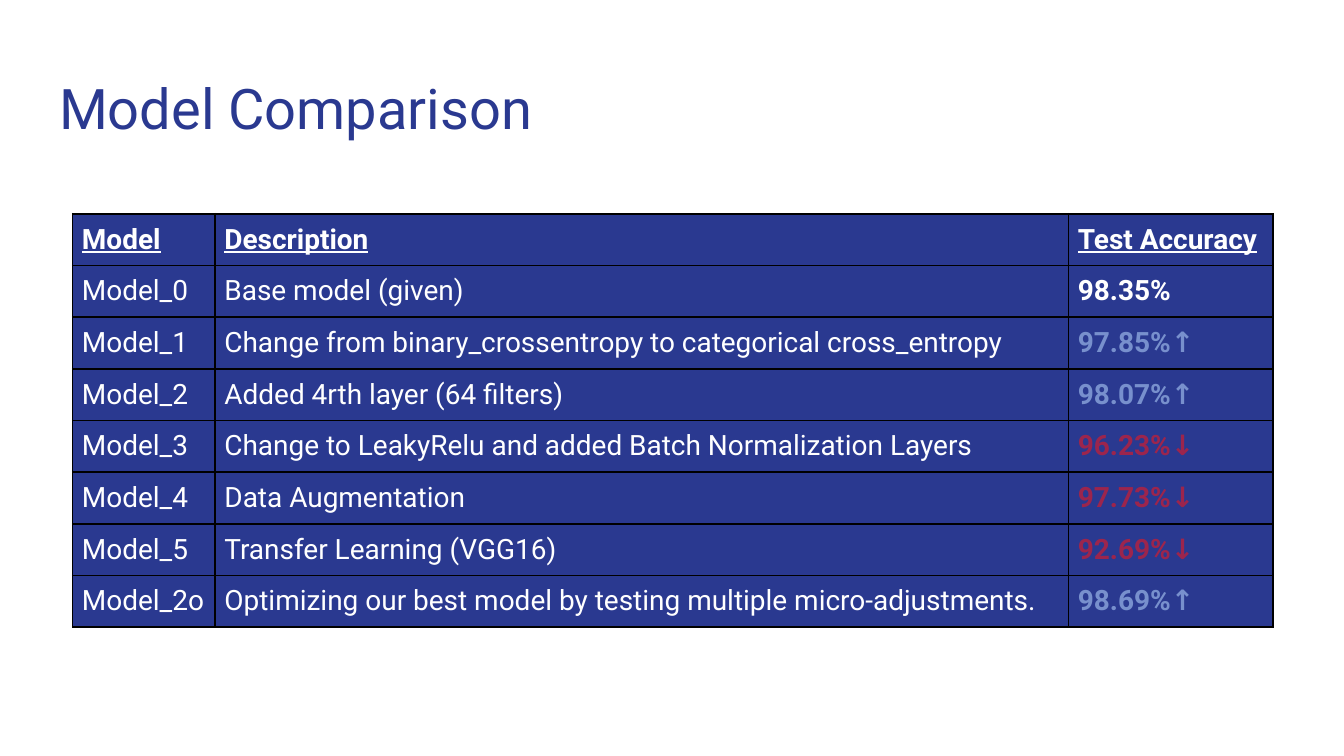
from typing import NamedTuple

from lxml import etree
from pptx import Presentation
from pptx.dml.color import RGBColor
from pptx.enum import text
from pptx.oxml.ns import qn
from pptx.util import Inches, Pt

FONT = "Roboto"
NAVY, WHITE, BLACK = "2A3990", "FFFFFF", "000000"
UP, DOWN = "7890CD", "9C254D"


class Model(NamedTuple):
    name: str
    description: str
    accuracy: str
    color: str = WHITE


HEADER = ("Model", "Description", "Test Accuracy")
MODELS = [
    Model("Model_0", "Base model (given)", "98.35%"),
    Model("Model_1", "Change from binary_crossentropy to categorical cross_entropy", "97.85%↑", UP),
    Model("Model_2", "Added 4rth layer (64 filters)", "98.07%↑", UP),
    Model("Model_3", "Change to LeakyRelu and added Batch Normalization Layers", "96.23%↓", DOWN),
    Model("Model_4", "Data Augmentation", "97.73%↓", DOWN),
    Model("Model_5", "Transfer Learning (VGG16)", "92.69%↓", DOWN),
    Model("Model_2o", "Optimizing our best model by testing multiple micro-adjustments.", "98.69%↑", UP),
]
COL_WIDTHS = (1.06, 6.35, 1.52)
ROW_HEIGHT = 0.38


def rgb(color: str) -> RGBColor:
    return RGBColor.from_string(color)


def style_font(font, size: float, color: str, bold: bool = False, underline: bool = False) -> None:
    font.name, font.size = FONT, Pt(size)
    font.bold, font.underline = bold, underline
    font.color.rgb = rgb(color)


def add_borders(cell, color: str = BLACK, width: float = 1) -> None:
    tc_pr = cell._tc.get_or_add_tcPr()
    for i, side in enumerate(("lnL", "lnR", "lnT", "lnB")):
        ln = etree.Element(qn(f"a:{side}"), w=str(Pt(width)))
        fill = etree.SubElement(ln, qn("a:solidFill"))
        etree.SubElement(fill, qn("a:srgbClr"), val=color)
        tc_pr.insert(i, ln)  # borders must precede the cell fill


def fill_cell(cell, value: str, color: str = WHITE, bold: bool = False, underline: bool = False) -> None:
    cell.text = value
    style_font(cell.text_frame.paragraphs[0].runs[0].font, 15, color, bold, underline)
    cell.margin_left = cell.margin_right = Inches(0.07)
    cell.margin_top = cell.margin_bottom = Inches(0.07)
    cell.fill.solid()
    cell.fill.fore_color.rgb = rgb(NAVY)
    add_borders(cell)


def add_title(slide, title: str) -> None:
    sp = slide.shapes.title
    sp.left, sp.top, sp.width, sp.height = map(Inches, (0.34, 0.45, 9.32, 0.66))
    tf = sp.text_frame
    tf.text = title
    tf.auto_size = text.MSO_AUTO_SIZE.NONE
    tf.vertical_anchor = text.MSO_ANCHOR.TOP
    tf.margin_left = tf.margin_right = tf.margin_top = tf.margin_bottom = Inches(0.1)
    p = tf.paragraphs[0]
    p.alignment = text.PP_ALIGN.LEFT
    style_font(p.runs[0].font, 30, NAVY)


def add_model_table(slide) -> None:
    n_rows = len(MODELS) + 1
    table = slide.shapes.add_table(
        n_rows, len(HEADER), Inches(0.54), Inches(1.59),
        Inches(sum(COL_WIDTHS)), Inches(n_rows * ROW_HEIGHT),
    ).table
    table.horz_banding = False
    for col, width in zip(table.columns, COL_WIDTHS):
        col.width = Inches(width)
    for c, heading in enumerate(HEADER):
        fill_cell(table.cell(0, c), heading, bold=True, underline=True)
    for r, model in enumerate(MODELS, start=1):
        fill_cell(table.cell(r, 0), model.name)
        fill_cell(table.cell(r, 1), model.description)
        fill_cell(table.cell(r, 2), model.accuracy, model.color, bold=True)


def main() -> None:
    prs = Presentation()
    prs.slide_width = Inches(10)
    prs.slide_height = prs.slide_width * 9 // 16
    slide = prs.slides.add_slide(prs.slide_layouts[5])
    add_model_table(slide)
    add_title(slide, "Model Comparison")
    prs.save("out.pptx")


if __name__ == "__main__":
    main()
